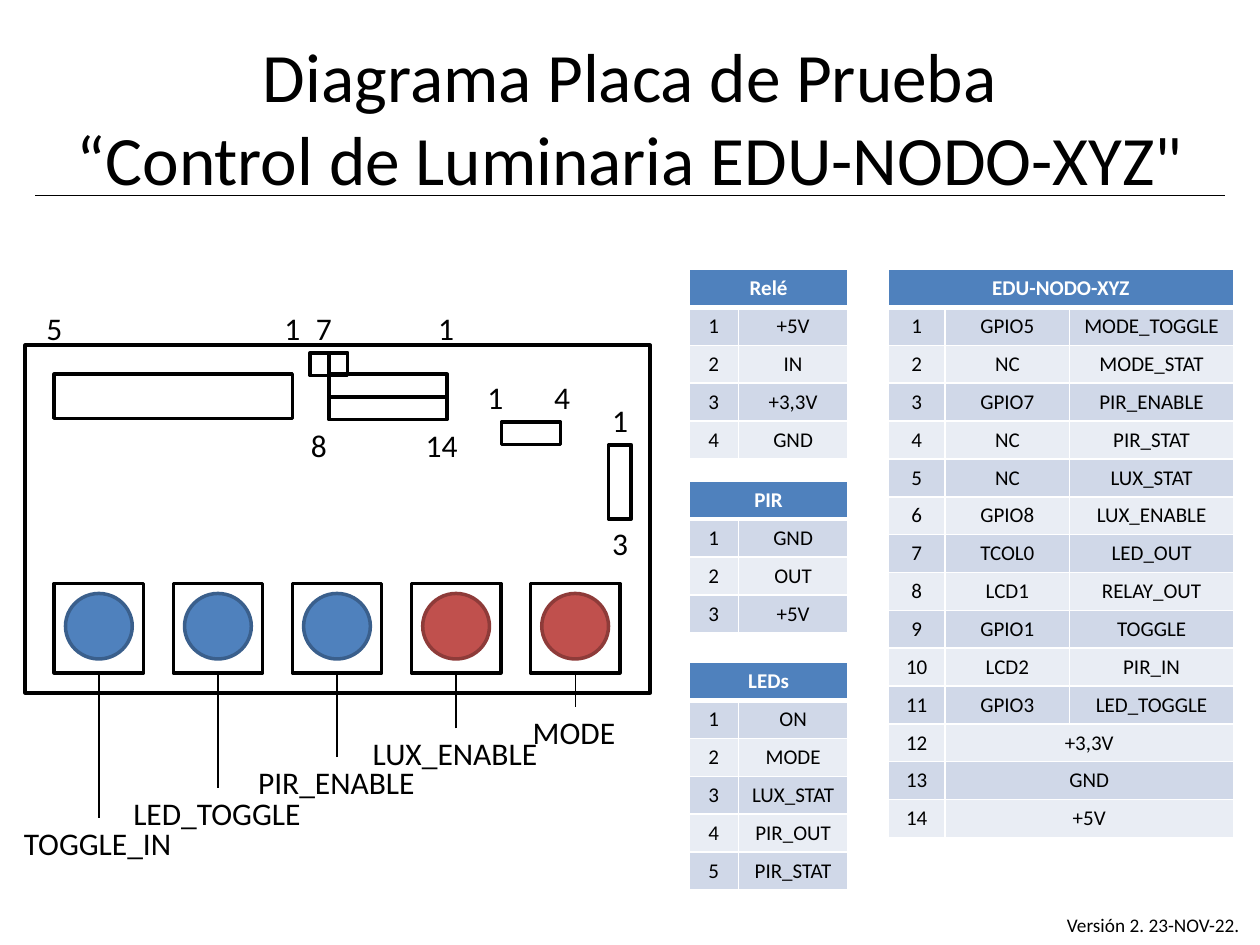
import pptx
import pptx.util
import pptx.dml.color
import pptx.enum.shapes
import pptx.enum.text
import pptx.oxml
import pptx.oxml.ns
from dataclasses import dataclass

Inches = pptx.util.Inches
Pt = pptx.util.Pt
SHAPE = pptx.enum.shapes.MSO_SHAPE
ALIGN = pptx.enum.text.PP_ALIGN
ANCHOR = pptx.enum.text.MSO_ANCHOR


@dataclass
class Theme:
    """Colours, font and type sizes of the slide."""
    font: str = "Calibri"
    ink: str = "000000"
    white: str = "FFFFFF"
    blue: str = "4F81BD"
    blue_edge: str = "3A5F8C"
    red: str = "C0504D"
    red_edge: str = "8E3B39"
    bands: tuple = ("D0D8E8", "E9EDF4")
    title: float = 39.6
    label: float = 18
    cell: float = 12
    note: float = 11
    outline: float = 2
    thin: float = 0.75


T = Theme()
BOARD = "EDU-NODO-XYZ"

# Button label, label left, label top, fill, edge
BUTTONS = [
    ("TOGGLE_IN", 0.09, 6.49, 1.39, T.blue, T.blue_edge),
    ("LED_TOGGLE", 0.96, 6.25, 1.54, T.blue, T.blue_edge),
    ("PIR_ENABLE", 1.95, 6.01, 1.46, T.blue, T.blue_edge),
    ("LUX_ENABLE", 2.86, 5.78, 1.52, T.red, T.red_edge),
    ("MODE", 4.13, 5.61, 0.86, T.red, T.red_edge),
]

# Board outline and pin headers: left, top, width, height
OUTLINES = [
    (0.2, 2.74, 4.96, 2.76),
    (0.43, 2.97, 1.89, 0.35),
    (2.61, 2.97, 0.94, 0.18),
    (2.61, 3.15, 0.94, 0.18),
    (3.98, 3.35, 0.47, 0.18),
    (4.83, 3.53, 0.18, 0.59),
    (2.61, 2.8, 0.15, 0.18),
    (2.46, 2.8, 0.15, 0.18),
]

PIN_NUMBERS = [
    ("5", 0.27, 2.4), ("1", 2.16, 2.4), ("7", 2.41, 2.4), ("1", 3.38, 2.4),
    ("8", 2.37, 3.33), ("14", 3.28, 3.33), ("1", 3.77, 2.95),
    ("4", 4.3, 2.95), ("1", 4.76, 3.13), ("3", 4.76, 4.11),
]

CONNECTORS = [
    ("Relé", 2.14, ["+5V", "IN", "+3,3V", "GND"]),
    ("PIR", 3.82, ["GND", "OUT", "+5V"]),
    ("LEDs", 5.26, ["ON", "MODE", "LUX_STAT", "PIR_OUT", "PIR_STAT"]),
]

BOARD_PINS = [
    ("GPIO5", "MODE_TOGGLE"), ("NC", "MODE_STAT"), ("GPIO7", "PIR_ENABLE"),
    ("NC", "PIR_STAT"), ("NC", "LUX_STAT"), ("GPIO8", "LUX_ENABLE"),
    ("TCOL0", "LED_OUT"), ("LCD1", "RELAY_OUT"), ("GPIO1", "TOGGLE"),
    ("LCD2", "PIR_IN"), ("GPIO3", "LED_TOGGLE"),
    ("+3,3V",), ("GND",), ("+5V",),
]


def rgb(value):
    """Return a colour object for a hex string."""
    return pptx.dml.color.RGBColor.from_string(value)


def style_text(tf, size, color=T.ink, bold=False, align=None):
    """Format every run of a text frame."""
    for p in tf.paragraphs:
        p.alignment = align
        for r in p.runs:
            r.font.name = T.font
            r.font.size = Pt(size)
            r.font.bold = bold
            r.font.color.rgb = rgb(color)


def add_text(s, text, x, y, w, h, size=T.label, align=None, wrap=False):
    """Add a text box."""
    tf = s.shapes.add_textbox(Inches(x), Inches(y), Inches(w), Inches(h)).text_frame
    tf.word_wrap = wrap
    tf.text = text
    style_text(tf, size, align=align)
    return tf


def add_outline(s, x, y, w, h, kind=SHAPE.RECTANGLE, fill=None, edge=T.ink):
    """Add an outlined shape, unfilled unless a fill is given."""
    sp = s.shapes.add_shape(kind, Inches(x), Inches(y), Inches(w), Inches(h))
    sp.shadow.inherit = False
    if fill:
        sp.fill.solid()
        sp.fill.fore_color.rgb = rgb(fill)
    else:
        sp.fill.background()
    sp.line.color.rgb = rgb(edge)
    sp.line.width = Pt(T.outline)


def add_line(s, x1, y1, x2, y2):
    """Add a thin straight connector."""
    line = s.shapes.add_connector(pptx.enum.shapes.MSO_CONNECTOR.STRAIGHT,
                                  Inches(x1), Inches(y1), Inches(x2), Inches(y2))
    line.line.color.rgb = rgb(T.ink)
    line.line.width = Pt(T.thin)
    sppr = line._element.spPr
    sppr.append(sppr.makeelement(pptx.oxml.ns.qn("a:effectLst"), {}))


def style_cell(cell, row):
    """Apply white borders, band fill and centred text to a cell."""
    tcpr = cell._tc.get_or_add_tcPr()
    thick = {"T": row == 1, "B": row == 0}
    for side in "LRTB":
        width = Pt(3 if thick.get(side) else 1)
        tcpr.append(pptx.oxml.parse_xml(
            f'<a:ln{side} {pptx.oxml.ns.nsdecls("a")} w="{width}"><a:solidFill>'
            f'<a:srgbClr val="{T.white}"/></a:solidFill></a:ln{side}>'))
    header = row == 0
    cell.fill.solid()
    cell.fill.fore_color.rgb = rgb(T.blue if header else T.bands[(row - 1) % 2])
    cell.vertical_anchor = ANCHOR.MIDDLE
    style_text(cell.text_frame, T.cell, T.white if header else T.ink,
               header, ALIGN.CENTER)


def add_pin_table(s, title, pins, x, y, widths, row_height=0.3):
    """Add a table of numbered pins; short rows merge to the right edge."""
    rows = [(title,)] + [(str(n), *pin) for n, pin in enumerate(pins, 1)]
    table = s.shapes.add_table(len(rows), len(widths), Inches(x), Inches(y),
                               Inches(sum(widths)),
                               Inches(row_height * len(rows))).table
    for column, width in zip(table.columns, widths):
        column.width = Inches(width)
    last = len(widths) - 1
    for i, values in enumerate(rows):
        table.rows[i].height = Inches(row_height)
        for j, value in enumerate(values):
            table.cell(i, j).text = value
        if len(values) <= last:
            table.cell(i, len(values) - 1).merge(table.cell(i, last))
        for cell in table.rows[i].cells:
            style_cell(cell, i)


def add_button(s, index, label, label_x, label_y, label_w, fill, edge):
    """Add a push button with its leader line and label."""
    x = 0.43 + 0.945 * index
    add_outline(s, x, 4.63, 0.71, 0.71)
    add_outline(s, x + 0.09, 4.71, 0.53, 0.52, SHAPE.OVAL, fill, edge)
    add_line(s, x + 0.355, label_y, x + 0.355, 5.34)
    add_text(s, label, label_x, label_y, label_w, 0.4)


def main():
    """Build and save the slide."""
    prs = pptx.Presentation()
    prs.slide_width, prs.slide_height = Inches(10), Inches(7.5)
    s = prs.slides.add_slide(prs.slide_layouts[6])

    tf = add_text(s, f"Diagrama Placa de Prueba\v“Control de Luminaria {BOARD}\"",
                  0.5, 0.3, 9, 1.25, T.title, ALIGN.CENTER, True)
    tf.vertical_anchor = ANCHOR.MIDDLE
    add_line(s, 0.28, 1.55, 9.72, 1.55)

    for box in OUTLINES:
        add_outline(s, *box)
    for index, button in enumerate(BUTTONS):
        add_button(s, index, *button)
    for number, x, y in PIN_NUMBERS:
        add_text(s, number, x, y, 0.2 + 0.13 * len(number), 0.4)

    add_pin_table(s, BOARD, BOARD_PINS, 7.05, 2.14, (0.45, 0.99, 1.3))
    for title, y, signals in CONNECTORS:
        add_pin_table(s, title, [(name,) for name in signals], 5.47, y, (0.39, 0.87))

    add_text(s, "Versión 2. 23-NOV-22.", 8.37, 7.2, 1.6, 0.29, T.note)
    prs.save("out.pptx")


main()
